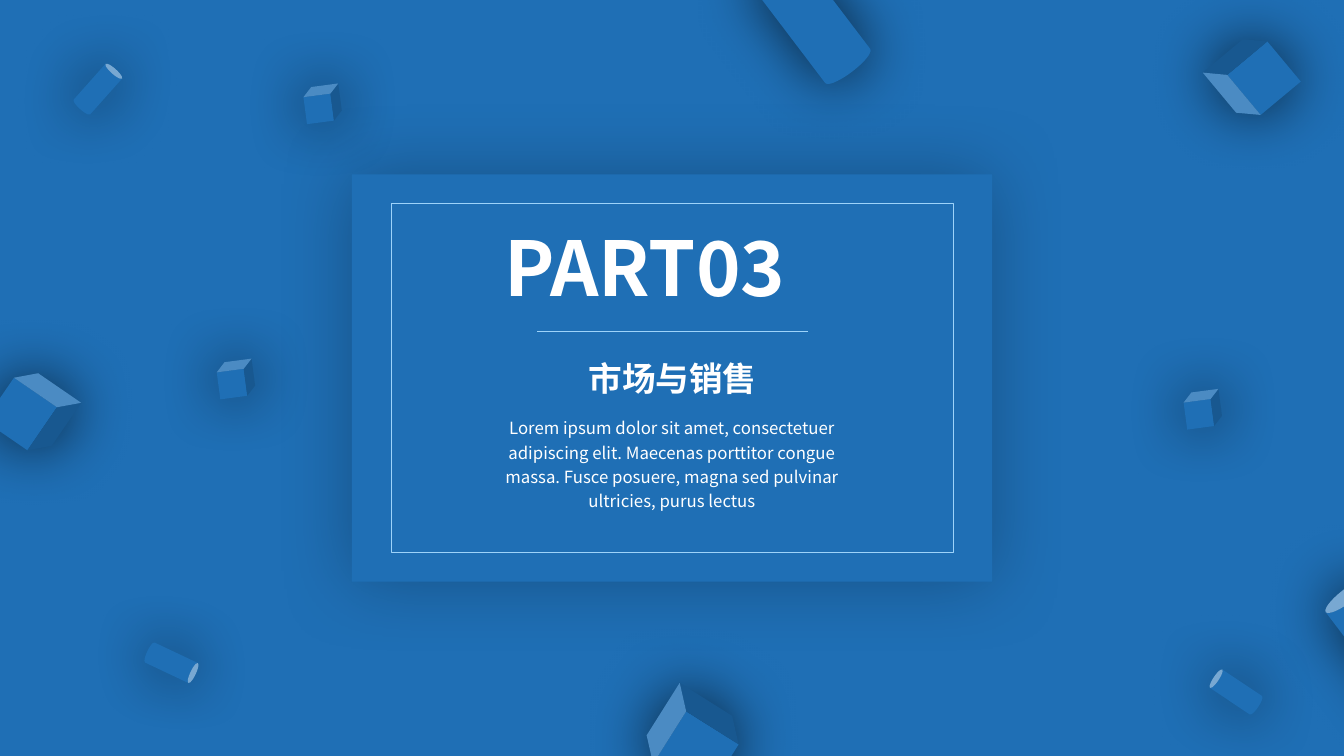
"""Build the section divider slide: a framed card among floating solids."""
import lxml.etree
import pptx
import pptx.dml.color
import pptx.enum.shapes
import pptx.enum.text
import pptx.oxml.ns
import pptx.util

Inches = pptx.util.Inches
Pt = pptx.util.Pt
RGBColor = pptx.dml.color.RGBColor
Shapes = pptx.enum.shapes.MSO_SHAPE
Align = pptx.enum.text.PP_ALIGN
qn = pptx.oxml.ns.qn

BLUE = RGBColor(0x1F, 0x6F, 0xB5)
PALE = RGBColor(0x9D, 0xD3, 0xFA)
WHITE = RGBColor(0xFF, 0xFF, 0xFF)
FONT = "Noto Sans CJK SC"

PART = "PART03"
TOPIC = "市场与销售"
SUMMARY = ("Lorem ipsum dolor sit amet, consectetuer adipiscing elit. "
           "Maecenas porttitor congue massa. Fusce posuere, magna sed pulvinar "
           "ultricies, purus lectus")

CARD = (3.49, 1.73, 6.35, 4.04)
FRAME = (3.88, 2.02, 5.58, 3.46)
RULE = (5.33, 3.29, 8.01, 3.29)
PART_BOX = (4.9, 2.14, 3.68, 1.01)
TOPIC_BOX = (5.38, 3.42, 2.58, 0.58)
SUMMARY_BOX = (4.78, 4.06, 3.77, 1.05)

CARD_SHADOW = (25, 55)
SOLID_SHADOW = (65, 44)

SMALL_CAN = (Shapes.CAN, 0.22, 0.53)
LARGE_CAN = (Shapes.CAN, 0.56, 1.36)
SMALL_CUBE = (Shapes.CUBE, 0.36, 0.36)
MEDIUM_CUBE = (Shapes.CUBE, 0.69, 0.69)
LARGE_CUBE = (Shapes.CUBE, 0.82, 0.82)
SOLIDS = [
    (SMALL_CAN, 1.59, 6.31, 115.3),
    (SMALL_CAN, 0.86, 0.62, 41.7),
    (SMALL_CUBE, 3.02, 0.85, 352.5),
    (MEDIUM_CUBE, -0.02, 3.74, 34.5),
    (LARGE_CUBE, 6.46, 6.93, 302.2),
    (MEDIUM_CUBE, 12.07, 0.42, 230.2),
    (SMALL_CAN, 12.15, 6.6, 303.7),
    (LARGE_CAN, 7.76, -0.51, 322.8),
    (SMALL_CUBE, 2.16, 3.58, 352.5),
    (LARGE_CAN, 13.46, 5.71, 322.8),
    (SMALL_CUBE, 11.75, 3.88, 352.5),
]


def add_solid(page, kind, place, shadow, rotation=0):
    """Add a blue shape with a soft black shadow of given opacity and blur."""
    solid = page.shapes.add_shape(kind, *map(Inches, place))
    solid.rotation = rotation
    solid.fill.solid()
    solid.fill.fore_color.rgb = BLUE
    solid.line.fill.background()
    solid.shadow.inherit = False
    opacity, blur = shadow
    effects = solid.element.spPr.find(qn("a:effectLst"))
    outer = lxml.etree.SubElement(effects, qn("a:outerShdw"), blurRad=str(Pt(blur)),
                                  dist="0", dir="0", algn="ctr", rotWithShape="0")
    color = lxml.etree.SubElement(outer, qn("a:srgbClr"), val="000000")
    lxml.etree.SubElement(color, qn("a:alpha"), val=str(opacity * 1000))


def write(box, place, text, size, bold, align, spacing):
    """Place a text shape in front and fill it with one white paragraph."""
    box.left, box.top, box.width, box.height = map(Inches, place)
    tree = box.element.getparent()
    tree.append(box.element)
    frame = box.text_frame
    frame.word_wrap = True
    frame.auto_size = pptx.enum.text.MSO_AUTO_SIZE.NONE
    frame.vertical_anchor = pptx.enum.text.MSO_ANCHOR.TOP
    para = frame.paragraphs[0]
    para.alignment = align
    para.line_spacing = spacing
    para.space_before = Pt(0)
    span = para.add_run()
    span.text = text
    span.font.size = Pt(size)
    span.font.bold = bold
    span.font.color.rgb = WHITE
    span.font.name = FONT
    lxml.etree.SubElement(span.font._element, qn("a:ea"), typeface=FONT)


def main():
    """Assemble and save the slide."""
    deck = pptx.Presentation()
    deck.slide_width, deck.slide_height = Inches(13.33), Inches(7.5)
    page = deck.slides.add_slide(deck.slide_layouts[0])
    page.background.fill.solid()
    page.background.fill.fore_color.rgb = BLUE

    add_solid(page, Shapes.RECTANGLE, CARD, CARD_SHADOW)
    frame = page.shapes.add_shape(Shapes.RECTANGLE, *map(Inches, FRAME))
    frame.fill.background()
    frame.line.color.rgb = PALE
    frame.line.width = Pt(1)
    frame.shadow.inherit = False

    rule = page.shapes.add_connector(pptx.enum.shapes.MSO_CONNECTOR.STRAIGHT,
                                     *map(Inches, RULE))
    rule.line.color.rgb = PALE
    rule.line.width = Pt(0.5)
    lxml.etree.SubElement(rule.element.spPr, qn("a:effectLst"))

    for (kind, width, height), left, top, rotation in SOLIDS:
        add_solid(page, kind, (left, top, width, height), SOLID_SHADOW, rotation)

    summary = page.shapes.add_textbox(*map(Inches, SUMMARY_BOX))
    write(page.shapes.title, PART_BOX, PART, 54, True, Align.JUSTIFY, 1.0)
    write(page.placeholders[1], TOPIC_BOX, TOPIC, 24, True, Align.CENTER, 1.2)
    write(summary, SUMMARY_BOX, SUMMARY, 12, False, Align.CENTER, 1.2)
    deck.save("out.pptx")


if __name__ == "__main__":
    main()
